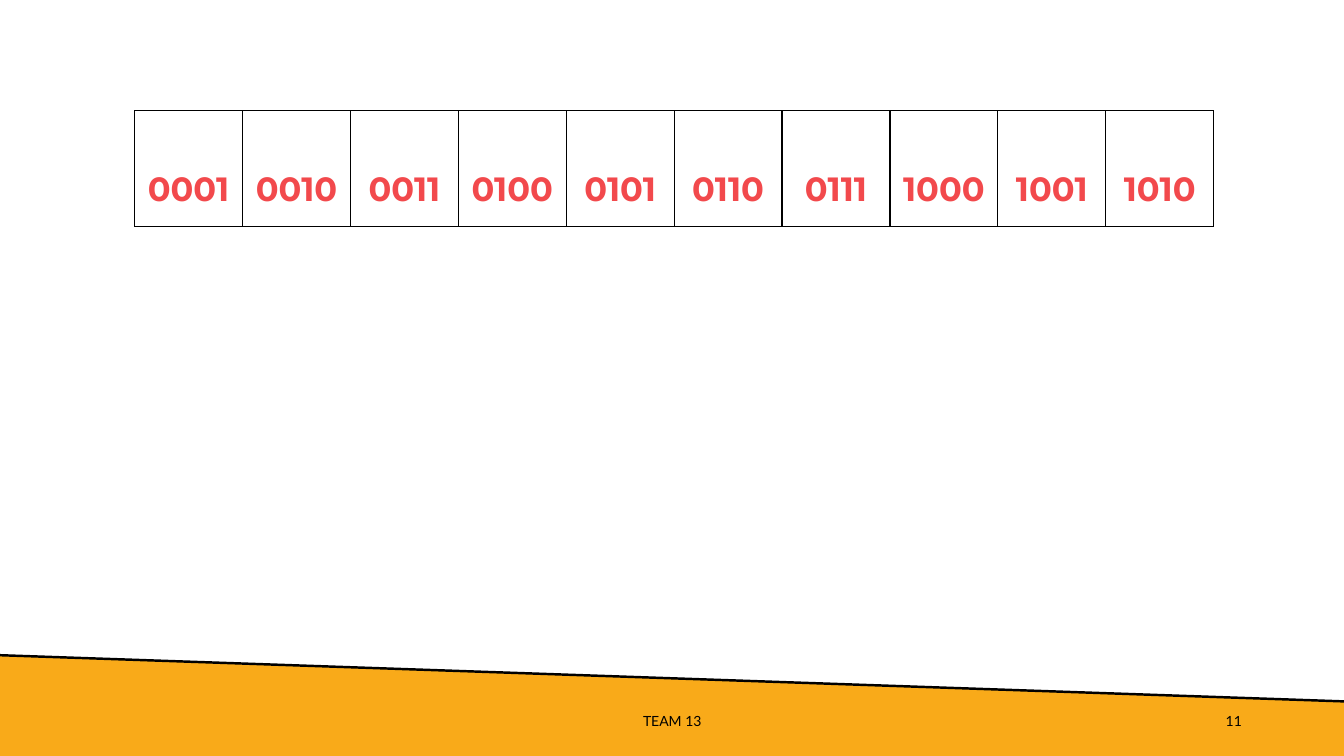
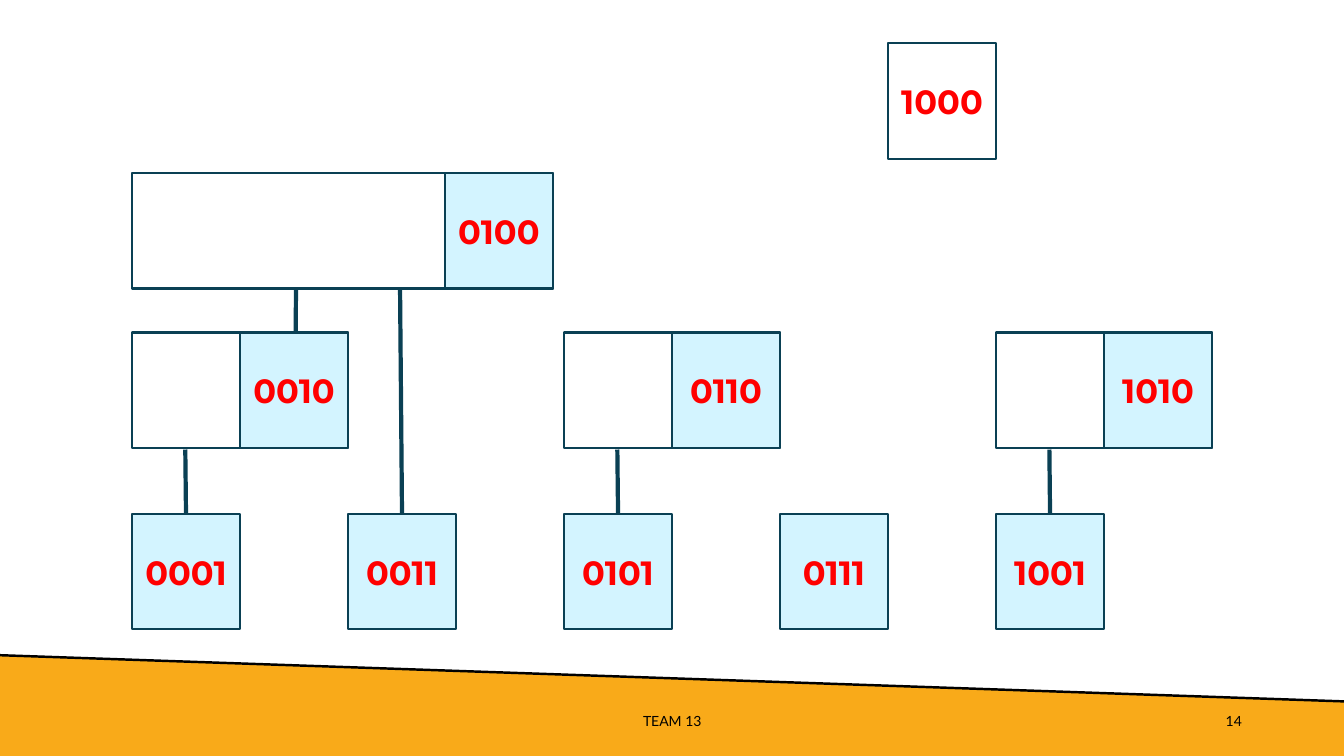
from lxml import etree
from pptx import Presentation
from pptx.dml.color import RGBColor
from pptx.enum import shapes as kinds, text as txt
from pptx.oxml import ns
from pptx.util import Pt

HUES = {"band": "F9AA19", "black": "000000", "coral": "F2494C",
        "red": "FF0000", "navy": "0A4054", "pale": "D3F4FF"}
WIDE, HIGH = 960, 540
SLOPE = (468, 501)          # height of the band's edge at left and right
SIDE, TALL = 77.15, 82.4    # one cell of the tree
LEFT = 94.3
ROWS = {"root": 31, "quad": 123.7, "pair": 237.5, "leaf": 367.2}


def hue(name):
    return RGBColor.from_string(HUES[name])


def style(para, face, size, color, align, bold=False):
    para.alignment = align
    font = para.font
    font.name, font.size, font.bold = face, Pt(size), bold
    font.color.rgb = hue(color)


def code(para, color):
    style(para, "Montserrat", 24, color, txt.PP_ALIGN.CENTER, True)


def line(slide, start, end, color, width):
    rule = slide.shapes.add_connector(
        kinds.MSO_CONNECTOR.STRAIGHT, *map(Pt, (*start, *end)))
    rule.line.color.rgb = hue(color)
    rule.line.width = Pt(width)
    etree.SubElement(rule.element.spPr, ns.qn("a:effectLst"))
    return rule


def band(slide, layout):
    """Draw the sloping band and hand it to the layout, for all slides."""
    left, right = SLOPE
    pen = slide.shapes.build_freeform(0, left, Pt(1))
    pen.add_line_segments([(WIDE, right), (WIDE, HIGH), (0, HIGH)])
    base = pen.convert_to_shape()
    base.shadow.inherit = False
    base.fill.solid()
    base.fill.fore_color.rgb = hue("band")
    base.line.fill.background()
    edge = line(slide, (0, left), (WIDE, right), "black", 1.75)
    for part in (base, edge):
        layout.shapes.element.append(part.element)


def footer(slide, number):
    for words, x, width, align in (
            (str(number), 678.2, 216, txt.PP_ALIGN.RIGHT),
            ("TEAM 13", 318.2, 324, txt.PP_ALIGN.CENTER)):
        box = slide.shapes.add_textbox(Pt(x), Pt(500.4), Pt(width), Pt(28.8))
        frame = box.text_frame
        frame.word_wrap = True
        frame.vertical_anchor = txt.MSO_ANCHOR.MIDDLE
        frame.text = words
        style(frame.paragraphs[0], "Lato", 10, "black", align)


def border(cell, sides):
    """Rule the given sides (of L, R, T, B) and leave the others bare."""
    props = cell._tc.get_or_add_tcPr()
    for side in "LRTB":
        rule = etree.SubElement(props, ns.qn("a:ln" + side), w=str(Pt(1)))
        if side in sides:
            fill = etree.SubElement(rule, ns.qn("a:solidFill"))
            etree.SubElement(fill, ns.qn("a:srgbClr"), val=HUES["black"])
        else:
            etree.SubElement(rule, ns.qn("a:noFill"))
    cell.fill.background()


def strip(slide, codes, x, y, widths, heights):
    """Lay the codes out below an empty head row, after an empty column."""
    table = slide.shapes.add_table(
        len(heights), len(widths), Pt(x), Pt(y),
        Pt(sum(widths)), Pt(sum(heights))).table
    table.first_row = table.horz_banding = False
    for col, width in zip(table.columns, widths):
        col.width = Pt(width)
    for row, height in zip(table.rows, heights):
        row.height = Pt(height)
    head, body = (list(row.cells) for row in table.rows)
    border(head[0], "")
    border(body[0], "R")
    for top, cell, word in zip(head[1:], body[1:], codes):
        border(top, "B")
        border(cell, "LRTB")
        cell.margin_left = cell.margin_right = Pt(5)
        cell.margin_top = cell.margin_bottom = 0
        cell.vertical_anchor = txt.MSO_ANCHOR.MIDDLE
        cell.text = word
        para = cell.text_frame.paragraphs[0]
        para.line_spacing = 2.0
        code(para, "coral")


def block(slide, x, y, width=SIDE, word="", fill=None):
    box = slide.shapes.add_shape(
        kinds.MSO_SHAPE.RECTANGLE, Pt(x), Pt(y), Pt(width), Pt(TALL))
    box.shadow.inherit = False
    if fill:
        box.fill.solid()
        box.fill.fore_color.rgb = hue(fill)
    else:
        box.fill.background()
    box.line.color.rgb = hue("navy")
    box.line.width = Pt(1.5)
    if word:
        frame = box.text_frame
        frame.vertical_anchor = txt.MSO_ANCHOR.MIDDLE
        frame.text = word
        code(frame.paragraphs[0], "red")


def tree(slide, x, codes):
    """Draw a Fenwick tree: each code sits at the end of its range."""
    def col(i):
        return x + i * SIDE

    span = 300.6            # outer width of the range of four
    for i, word in enumerate(codes):
        size = (i + 1) & -(i + 1)
        row = {1: "leaf", 2: "pair", 4: "quad", 8: "root"}[size]
        spot = x + span - SIDE if size == 4 else col(i)
        block(slide, spot, ROWS[row], word=word,
              fill=None if row == "root" else "pale")
    for i in (0, 4, 8):
        block(slide, col(i), ROWS["pair"], 2 * SIDE)
        line(slide, (col(i + 0.5), ROWS["leaf"]),
             (col(i + 0.5) - 0.5, ROWS["pair"] + TALL + 1.2), "navy", 3)
    block(slide, x, ROWS["quad"], span)
    foot = ROWS["quad"] + TALL + 1.2
    line(slide, (col(2.5), ROWS["leaf"]), (col(2.5) - 1.4, foot), "navy", 3)
    line(slide, (col(1.5) + 1.2, ROWS["pair"]), (col(1.5) + 1.4, foot),
         "navy", 3)


def main():
    deck = Presentation()
    deck.slide_width, deck.slide_height = Pt(WIDE), Pt(HIGH)
    layout = deck.slide_layouts[6]
    codes = [f"{n:04b}" for n in range(1, 11)]

    first, second = (deck.slides.add_slide(layout) for _ in range(2))
    band(first, layout)
    footer(first, 11)
    strip(first, codes, 18, 0, [78.2] + [77.1] * len(codes), [79.2, 82.8])
    footer(second, 14)
    tree(second, LEFT, codes)
    deck.save("out.pptx")


if __name__ == "__main__":
    main()
